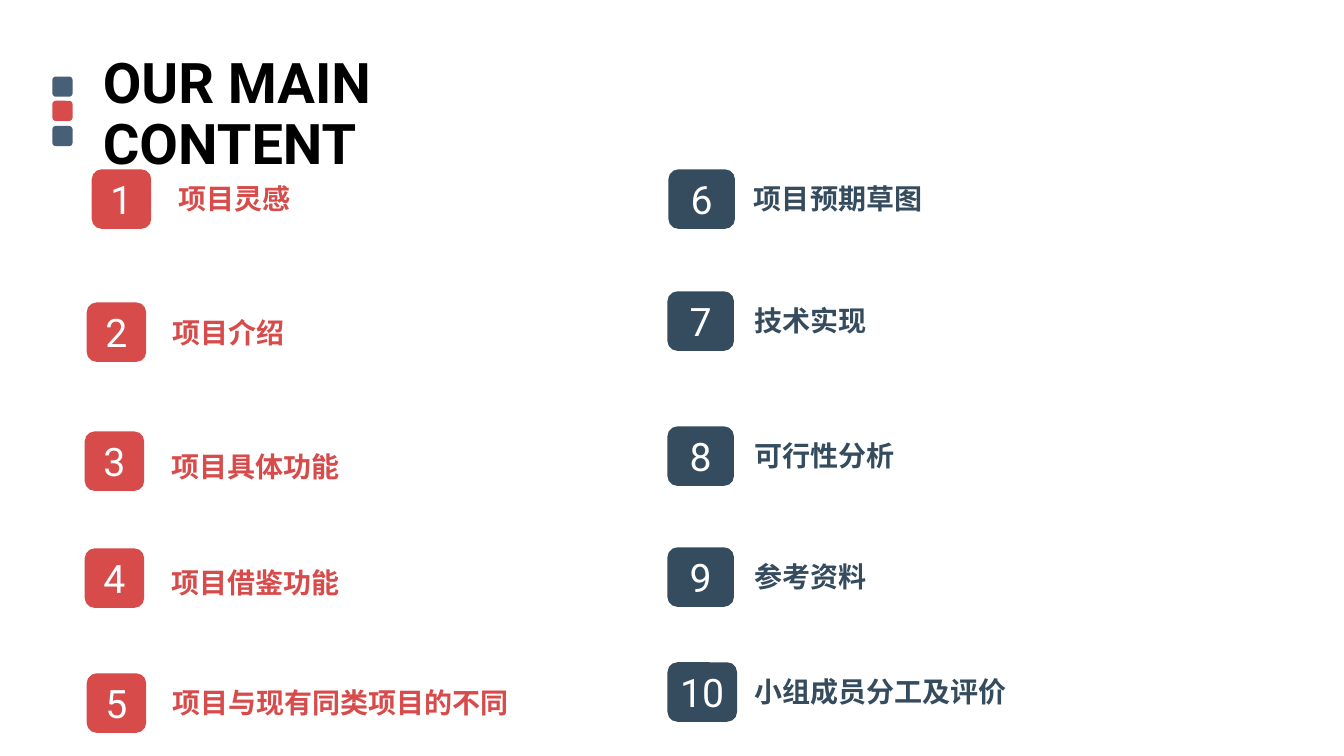
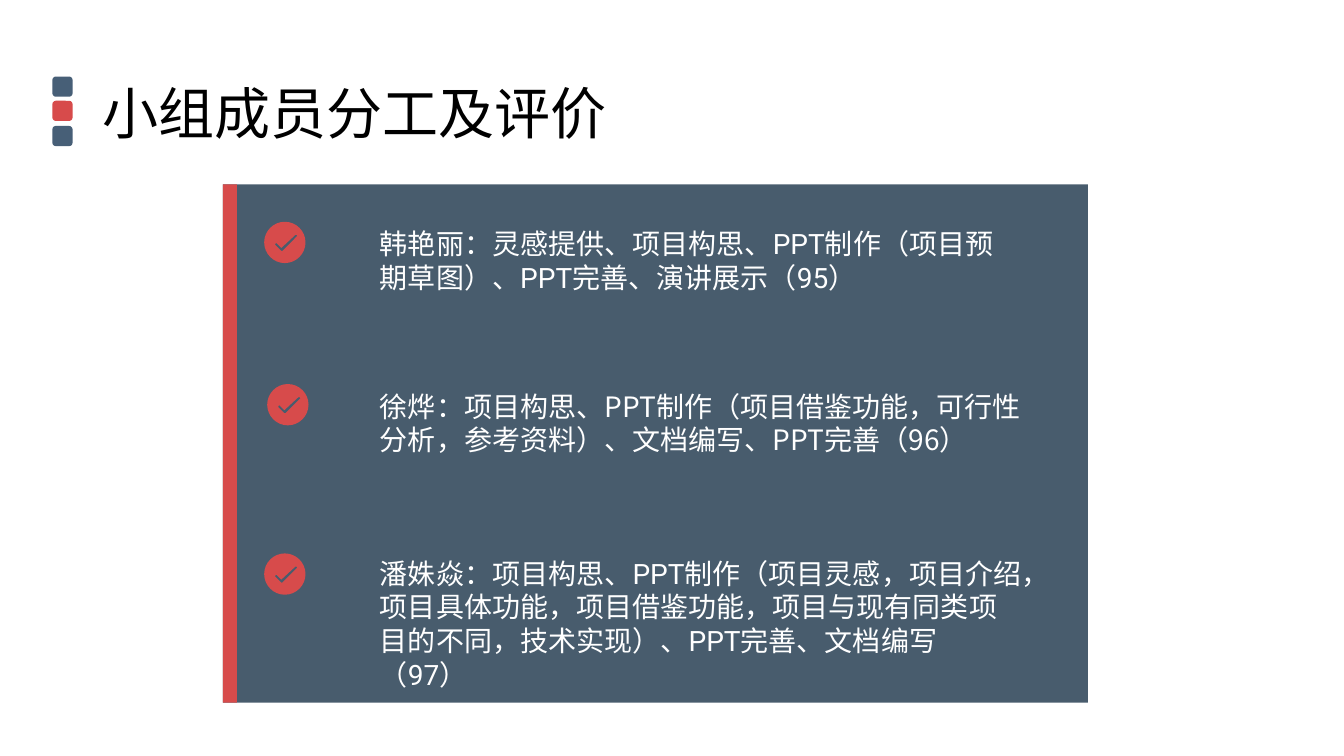
from dataclasses import dataclass

from pptx import Presentation
from pptx import util as u
from pptx.dml import color
from pptx.enum import shapes, text
from pptx.oxml import ns, xmlchemy

PX = 9144  # 100 px to the inch

RED, NAVY, SLATE = "D74B4B", "354B5E", "475F77"
WHITE, BLACK = "FFFFFF", "000000"
LATIN, CHINESE = "Roboto", "Noto Sans CJK SC"

BADGE = 59
LABEL_CHAR, LABEL_PADDING, LABEL_HEIGHT = 28, 19, 44
MARKERS = [(76, SLATE), (100, RED), (125, SLATE)]
CHECK_RADIUS = 41 * PX // 2
QUARTER_ARC = 0.55  # handle length of a quarter circle, in radii
COMPASS = [(0, -1), (-1, 0), (0, 1), (1, 0), (0, -1)]
TICK = [(32, 15), (18, 29), (17, 29), (11, 23), (11, 22), (12, 21),
        (13, 22), (17, 26), (31, 13), (32, 13), (33, 14)]


@dataclass(frozen=True)
class Topic:
    name: str
    left: int
    top: int
    label_left: int
    label_top: int
    colour: str = RED
    width: int = BADGE


@dataclass(frozen=True)
class Member:
    duties: str
    check_left: int
    check_top: int
    top: int
    width: int
    height: int
    latin: str = LATIN


TOPICS = [
    Topic("项目灵感", 91, 168, 167, 175),
    Topic("项目介绍", 86, 300, 161, 308),
    Topic("项目具体功能", 84, 428, 160, 441),
    Topic("项目借鉴功能", 84, 544, 160, 556),
    Topic("项目与现有同类项目的不同", 86, 668, 161, 675),
    Topic("项目预期草图", 663, 168, 738, 175, NAVY, 66),
    Topic("技术实现", 662, 289, 738, 296, NAVY, 66),
    Topic("可行性分析", 662, 423, 738, 430, NAVY, 66),
    Topic("参考资料", 662, 543, 738, 550, NAVY, 66),
    Topic("小组成员分工及评价", 662, 657, 738, 664, NAVY, 69),
]

MEMBERS = [
    Member("韩艳丽：灵感提供、项目构思、PPT制作（项目预期草图）、PPT完善、演讲展示（95）",
           262, 220, 220, 630, 71),
    Member("徐烨：项目构思、PPT制作（项目借鉴功能，可行性分析，参考资料）、文档编写、PPT完善（96）",
           265, 381, 381, 667, 78, CHINESE),
    Member("潘姝焱：项目构思、PPT制作（项目灵感，项目介绍，项目具体功能，项目借鉴功能，"
           "项目与现有同类项目的不同，技术实现）、PPT完善、文档编写（97）",
           262, 549, 547, 657, 145),
]


def rgb(hex_colour: str) -> color.RGBColor:
    return color.RGBColor.from_string(hex_colour)


def box(*lengths: int) -> list[int]:
    return [length * PX for length in lengths]


def paint(shape, hex_colour: str, opacity: int = 100) -> None:
    """Give a flat fill without outline or shadow; opacity is in percent."""
    shape.shadow.inherit = False
    shape.fill.solid()
    shape.fill.fore_color.rgb = rgb(hex_colour)
    shape.line.fill.background()
    if opacity < 100:
        fill_colour = shape._element.spPr.find(".//" + ns.qn("a:srgbClr"))
        alpha = xmlchemy.OxmlElement("a:alpha")
        alpha.set("val", str(opacity * 1000))
        fill_colour.append(alpha)


def write(shape, words: str, size: int, hex_colour: str, bold: bool = False,
          latin: str = LATIN, align=text.PP_ALIGN.LEFT):
    shape.text_frame.text = words
    paragraph = shape.text_frame.paragraphs[0]
    paragraph.alignment = align
    font = paragraph.runs[0].font
    font.size, font.bold, font.name = u.Pt(size), bold, latin
    font.color.rgb = rgb(hex_colour)
    east_asian = xmlchemy.OxmlElement("a:ea")
    east_asian.set("typeface", CHINESE)
    font._element.find(ns.qn("a:latin")).addnext(east_asian)
    return paragraph


def add_block(slide, preset, place: tuple[int, ...], hex_colour: str, opacity: int = 100):
    block = slide.shapes.add_shape(preset, *box(*place))
    paint(block, hex_colour, opacity)
    return block


def add_titled_slide(deck, title: str, bold: bool):
    slide = deck.slides.add_slide(deck.slide_layouts[5])
    for top, hex_colour in MARKERS:
        add_block(slide, shapes.MSO_SHAPE.ROUNDED_RECTANGLE, (52, top, 20, 20), hex_colour)
    heading = slide.shapes.title
    heading.left, heading.top, heading.width, heading.height = box(92, 56, 543, 118)
    write(heading, title, 40, BLACK, bold).line_spacing = 0.9
    frame = heading.text_frame
    frame.vertical_anchor = text.MSO_ANCHOR.MIDDLE
    frame.auto_size = text.MSO_AUTO_SIZE.NONE
    frame.word_wrap = True
    return slide


def add_topic(slide, number: int, topic: Topic) -> None:
    badge = add_block(slide, shapes.MSO_SHAPE.ROUNDED_RECTANGLE,
                      (topic.left, topic.top, topic.width, BADGE), topic.colour)
    write(badge, str(number), 28, WHITE, align=text.PP_ALIGN.CENTER)
    badge.text_frame.vertical_anchor = text.MSO_ANCHOR.MIDDLE
    badge.text_frame.word_wrap = False
    label_width = LABEL_CHAR * len(topic.name) + LABEL_PADDING
    label = slide.shapes.add_textbox(
        *box(topic.label_left, topic.label_top, label_width, LABEL_HEIGHT))
    write(label, topic.name, 20, topic.colour, bold=True)
    label.text_frame.word_wrap = False


def round_off(disc) -> None:
    """Turn the four straight sides of a diamond into quarter circles."""
    sides = disc._element.spPr.findall(".//" + ns.qn("a:lnTo"))[:4]
    for side, (x0, y0), (x1, y1) in zip(sides, COMPASS, COMPASS[1:]):
        curve = xmlchemy.OxmlElement("a:cubicBezTo")
        for x, y in ((x0 + QUARTER_ARC * x1, y0 + QUARTER_ARC * y1),
                     (x1 + QUARTER_ARC * x0, y1 + QUARTER_ARC * y0), (x1, y1)):
            point = xmlchemy.OxmlElement("a:pt")
            point.set("x", str(round((1 + x) * CHECK_RADIUS)))
            point.set("y", str(round((1 + y) * CHECK_RADIUS)))
            curve.append(point)
        side.getparent().replace(side, curve)


def add_check(slide, left: int, top: int) -> None:
    """Draw a disc with a tick cut out of it."""
    diamond = [(left * PX + (1 + x) * CHECK_RADIUS, top * PX + (1 + y) * CHECK_RADIUS)
               for x, y in COMPASS]
    tick = [((left + x) * PX, (top + y) * PX) for x, y in TICK]
    builder = slide.shapes.build_freeform(*diamond[0])
    builder.add_line_segments(diamond[1:], close=True)
    builder.move_to(*tick[0])
    builder.add_line_segments(tick[1:], close=True)
    disc = builder.convert_to_shape()
    round_off(disc)
    paint(disc, RED)


def add_member(slide, member: Member) -> None:
    add_check(slide, member.check_left, member.check_top)
    duties = slide.shapes.add_textbox(*box(367, member.top, member.width, member.height))
    write(duties, member.duties, 20, WHITE, latin=member.latin)
    duties.text_frame.word_wrap = True


def main() -> None:
    deck = Presentation()
    deck.slide_width, deck.slide_height = box(1333, 750)

    contents = add_titled_slide(deck, "OUR MAIN CONTENT", bold=True)
    for number, topic in enumerate(TOPICS, start=1):
        add_topic(contents, number, topic)

    team = add_titled_slide(deck, "小组成员分工及评价", bold=False)
    add_block(team, shapes.MSO_SHAPE.RECTANGLE, (221, 183, 858, 514), NAVY, opacity=90)
    add_block(team, shapes.MSO_SHAPE.RECTANGLE, (221, 183, 14, 514), RED)
    for member in MEMBERS:
        add_member(team, member)

    deck.save("out.pptx")


if __name__ == "__main__":
    main()
